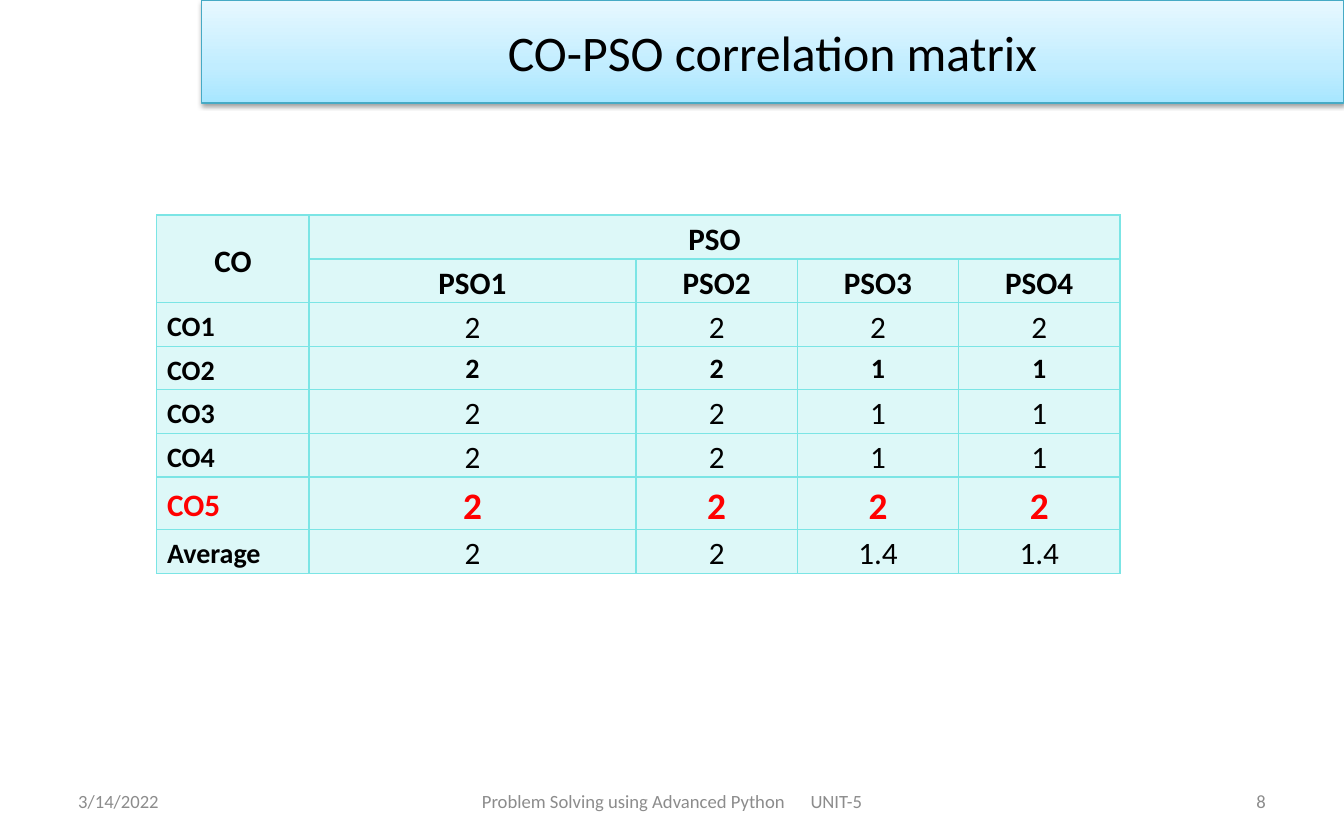
from copy import deepcopy
from dataclasses import dataclass

from lxml.etree import SubElement
from pptx import Presentation
from pptx.dml.color import RGBColor
from pptx.enum.shapes import MSO_SHAPE
from pptx.enum.text import MSO_ANCHOR, PP_ALIGN
from pptx.oxml import parse_xml
from pptx.oxml.ns import nsdecls, qn
from pptx.util import Pt


@dataclass(frozen=True)
class Theme:
    font: str = "Calibri"
    ink: str = "000000"
    muted: str = "8C8C8C"
    alert: str = "FF0000"
    table: str = "7BE5E5"
    banner_line: str = "46AAC5"
    banner_stops: tuple = ((0, "A7E6FF"), (0.35, "C1EDFF"), (1, "E7F8FF"))
    title_size: int = 32
    strong_size: int = 24
    body_size: int = 20
    label_size: int = 18
    footer_size: int = 12


THEME = Theme()
FOOTER_GAP = 13.5
COLUMN_WIDTHS = [97.9, 210.2, 103.7, 103.7, 103.7]
ROW_HEIGHT = 27.54
MATRIX = [
    ["CO", "PSO", "", "", ""],
    ["", "PSO1", "PSO2", "PSO3", "PSO4"],
    ["CO1", "2", "2", "2", "2"],
    ["CO2", "2", "2", "1", "1"],
    ["CO3", "2", "2", "1", "1"],
    ["CO4", "2", "2", "1", "1"],
    ["CO5", "2", "2", "2", "2"],
    ["Average", "2", "2", "1.4", "1.4"],
]


def set_all(target, values):
    for name, value in values.items():
        setattr(target, name, value)


def add_span(para, text, size, color=THEME.ink, bold=False):
    span = para.add_run()
    span.text = text
    set_all(span.font, {"name": THEME.font, "size": Pt(size), "bold": bold})
    span.font.color.rgb = RGBColor.from_string(color)
    return span


def add_banner(page, text):
    banner = page.shapes.add_shape(MSO_SHAPE.RECTANGLE, Pt(129.6), Pt(0), Pt(734.4), Pt(66.24))
    banner.line.color.rgb = RGBColor.from_string(THEME.banner_line)
    banner.line.width = Pt(0.75)
    banner.fill.gradient()
    banner.fill.gradient_angle = 90
    stop_list = banner.fill._fill._gradFill.find(qn("a:gsLst"))
    stop_list.append(deepcopy(stop_list[-1]))
    for stop, (position, color) in zip(banner.fill.gradient_stops, THEME.banner_stops):
        stop.position = position
        stop.color.rgb = RGBColor.from_string(color)
    add_shadow(banner)
    banner.text_frame.vertical_anchor = MSO_ANCHOR.MIDDLE
    para = banner.text_frame.paragraphs[0]
    para.alignment = PP_ALIGN.CENTER
    add_span(para, text, THEME.title_size)


def add_shadow(shape):
    shape.shadow.inherit = False
    effects = shape._element.spPr.find(qn("a:effectLst"))
    shadow = SubElement(effects, qn("a:outerShdw"), blurRad=str(Pt(3.1)),
                        dist=str(Pt(1.6)), dir="5400000", rotWithShape="0")
    color = SubElement(shadow, qn("a:srgbClr"), val=THEME.ink)
    SubElement(color, qn("a:alpha"), val="38000")


def add_footer(page, left, width, alignment, *parts):
    """Write the parts on one line, with a widened space between them."""
    box = page.shapes.add_textbox(Pt(left), Pt(500.4), Pt(width), Pt(28.8))
    set_all(box.text_frame, {"word_wrap": True, "vertical_anchor": MSO_ANCHOR.MIDDLE})
    para = box.text_frame.paragraphs[0]
    para.alignment = alignment
    for index, part in enumerate(parts):
        if index:
            gap = add_span(para, " ", THEME.footer_size, THEME.muted)
            gap.font._element.set("spc", str(int(FOOTER_GAP * 100)))
        add_span(para, part, THEME.footer_size, THEME.muted)


def paint_cell(cell):
    """Give the cell a translucent fill and a thin border on every side."""
    cell.fill.solid()
    cell.fill.fore_color.rgb = RGBColor.from_string(THEME.table)
    properties = cell._tc.tcPr
    SubElement(properties.find(".//" + qn("a:srgbClr")), qn("a:alpha"), val="25000")
    for index, side in enumerate("LRTB"):
        properties.insert(index, parse_xml(
            f'<a:ln{side} {nsdecls("a")} w="{Pt(1)}"><a:solidFill>'
            f'<a:srgbClr val="{THEME.table}"/></a:solidFill></a:ln{side}>'))


def text_format(row_name, is_header, is_label):
    if is_header:
        return {"size": THEME.body_size, "bold": True}
    if row_name == "CO5":
        size = THEME.body_size if is_label else THEME.strong_size
        return {"size": size, "color": THEME.alert, "bold": True}
    if is_label or row_name == "CO2":
        return {"size": THEME.label_size, "bold": True}
    return {"size": THEME.body_size}


def add_matrix(page, rows):
    frame = page.shapes.add_table(len(rows), len(COLUMN_WIDTHS), Pt(100.8), Pt(138.24),
                                  Pt(sum(COLUMN_WIDTHS)), Pt(ROW_HEIGHT * len(rows)))
    table = frame.table
    set_all(table, {"first_row": False, "horz_banding": False})
    for column, width in zip(table.columns, COLUMN_WIDTHS):
        column.width = Pt(width)
    for row_index, values in enumerate(rows):
        table.rows[row_index].height = Pt(ROW_HEIGHT)
        for column_index, text in enumerate(values):
            is_header, is_label = row_index < 2, column_index == 0
            cell = table.cell(row_index, column_index)
            set_all(cell, {
                "margin_left": Pt(6.6), "margin_right": Pt(6.6),
                "margin_top": 0, "margin_bottom": 0,
                "vertical_anchor": MSO_ANCHOR.MIDDLE if is_label else MSO_ANCHOR.TOP,
            })
            paint_cell(cell)
            if text:
                para = cell.text_frame.paragraphs[0]
                left_aligned = is_label and not is_header
                set_all(para, {
                    "alignment": PP_ALIGN.LEFT if left_aligned else PP_ALIGN.CENTER,
                    "line_spacing": 1.15,
                })
                add_span(para, text, **text_format(values[0], is_header, is_label))
    table.cell(0, 0).merge(table.cell(1, 0))
    table.cell(0, 1).merge(table.cell(0, 4))


def main():
    deck = Presentation()
    set_all(deck, {"slide_width": Pt(864), "slide_height": Pt(540)})
    page = deck.slides.add_slide(deck.slide_layouts[6])
    add_banner(page, "CO-PSO correlation matrix")
    add_matrix(page, MATRIX)
    add_footer(page, 43.2, 201.6, PP_ALIGN.LEFT, "3/14/2022")
    add_footer(page, 295.2, 273.6, PP_ALIGN.CENTER,
               "Problem Solving using Advanced Python", "UNIT-5")
    add_footer(page, 619.2, 201.6, PP_ALIGN.RIGHT, "8")
    deck.save("out.pptx")


if __name__ == "__main__":
    main()
